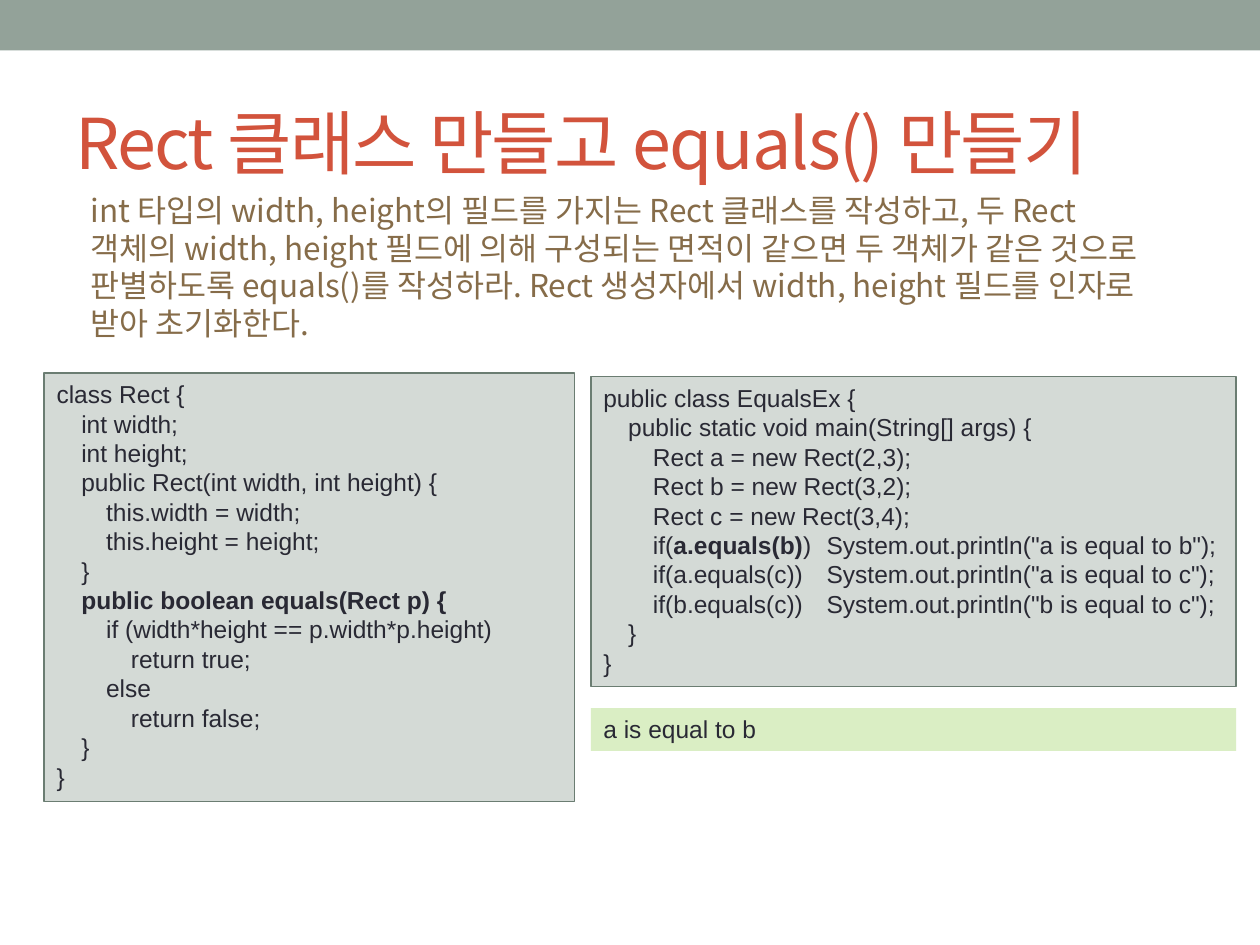
from pptx import Presentation
from pptx.dml.color import RGBColor
from pptx.enum import shapes, text
from pptx.oxml.ns import qn
from pptx.util import Inches, Pt
from lxml import etree

SAGE = RGBColor(0x93, 0xA2, 0x99)
PALE = RGBColor(0xD4, 0xDA, 0xD6)
EDGE = RGBColor(0x6B, 0x7D, 0x72)
LIME = RGBColor(0xDA, 0xEE, 0xC4)
RED = RGBColor(0xD2, 0x53, 0x3C)
BROWN = RGBColor(0x86, 0x6C, 0x49)
INK = RGBColor(0x29, 0x29, 0x34)
HANGUL = "Noto Sans CJK KR"
STEP = 180000

TITLE = "Rect 클래스 만들고 equals() 만들기"
TASK = (
    "int 타입의 width, height의 필드를 가지는 Rect 클래스를 작성하고, 두 Rect "
    "객체의 width, height 필드에 의해 구성되는 면적이 같으면 두 객체가 같은 "
    "것으로 판별하도록 equals()를 작성하라. Rect 생성자에서 width, height "
    "필드를 인자로 받아 초기화한다."
)
RECT = """class Rect {
\tint width;
\tint height;
\tpublic Rect(int width, int height) {
\t\tthis.width = width;
\t\tthis.height = height;
\t}
\t**public boolean equals(Rect p) {**
\t\tif (width*height == p.width*p.height)
\t\t\treturn true;
\t\telse
\t\t\treturn false;
\t}
}"""
MAIN = """public class EqualsEx {
\tpublic static void main(String[] args) {
\t\tRect a = new Rect(2,3);
\t\tRect b = new Rect(3,2);
\t\tRect c = new Rect(3,4);
\t\tif(**a.equals(b)**) \tSystem.out.println("a is equal to b");
\t\tif(a.equals(c)) \tSystem.out.println("a is equal to c");
\t\tif(b.equals(c)) \tSystem.out.println("b is equal to c");
\t}
}"""


def add_box(slide, area, fill, line=None):
    box = slide.shapes.add_shape(
        shapes.MSO_SHAPE.RECTANGLE, *map(Inches, area))
    box.shadow.inherit = False
    box.fill.solid()
    box.fill.fore_color.rgb = fill
    if line is None:
        box.line.fill.background()
    else:
        box.line.color.rgb = line
        box.line.width = Pt(0.75)
    return box


def set_font(run, name, size, color):
    run.font.name = name
    run.font.size = Pt(size)
    run.font.color.rgb = color
    face = etree.SubElement(run.font._element, qn("a:ea"))
    face.set("typeface", name)


def add_text(slide, area, words, size, color, anchor):
    frame = slide.shapes.add_textbox(*map(Inches, area)).text_frame
    frame.word_wrap = True
    frame.vertical_anchor = anchor
    frame.text = words
    para = frame.paragraphs[0]
    set_font(para.runs[0], HANGUL, size, color)
    return para


def set_tabs(para):
    tabs = etree.SubElement(para._p.get_or_add_pPr(), qn("a:tabLst"))
    for stop in range(1, 10):
        tab = etree.SubElement(tabs, qn("a:tab"))
        tab.set("pos", str(stop * STEP))
        tab.set("algn", "l")


def add_code(slide, area, code, fill, line=None):
    frame = add_box(slide, area, fill, line).text_frame
    frame.word_wrap = True
    frame.vertical_anchor = text.MSO_ANCHOR.TOP
    for row, words in enumerate(code.split("\n")):
        para = frame.add_paragraph() if row else frame.paragraphs[0]
        para.alignment = text.PP_ALIGN.LEFT
        set_tabs(para)
        for part, piece in enumerate(words.split("**")):
            if piece:
                run = para.add_run()
                run.text = piece
                run.font.bold = part % 2 == 1
                set_font(run, "Arial", 14, INK)


def main():
    deck = Presentation()
    deck.slide_width, deck.slide_height = Inches(10), Inches(7.5)
    slide = deck.slides.add_slide(deck.slide_layouts[6])
    add_box(slide, (0, 0, 10, 0.4), SAGE)
    title = add_text(slide, (0.5, 0.58, 9, 1.08), TITLE, 40, RED,
                     text.MSO_ANCHOR.MIDDLE)
    title.runs[0].font._element.set("spc", "-100")
    add_code(slide, (0.35, 2.96, 4.21, 3.4), RECT, PALE, EDGE)
    task = add_text(slide, (0.62, 1.47, 8.59, 1.31), TASK, 18, BROWN,
                    text.MSO_ANCHOR.TOP)
    task.line_spacing = Pt(21.5)
    add_code(slide, (4.69, 2.99, 5.12, 2.46), MAIN, PALE, EDGE)
    add_code(slide, (4.69, 5.62, 5.12, 0.34), "a is equal to b", LIME)
    deck.save("out.pptx")


if __name__ == "__main__":
    main()
